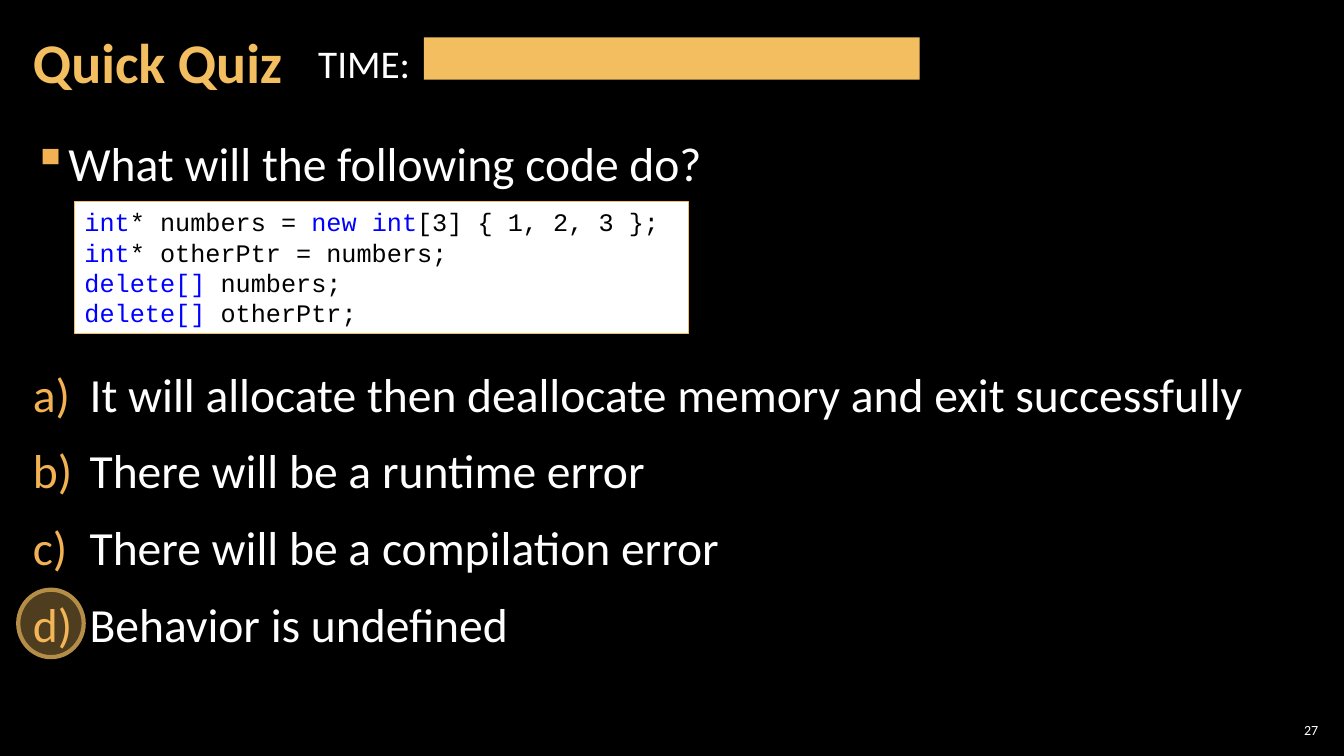
from lxml import etree
from pptx import Presentation
from pptx.dml.color import RGBColor
from pptx.enum.shapes import MSO_SHAPE
from pptx.enum.text import MSO_ANCHOR, PP_ALIGN
from pptx.oxml.ns import qn
from pptx.util import Cm, Pt

RECTANGLE, OVAL = MSO_SHAPE.RECTANGLE, MSO_SHAPE.OVAL
TOP, MIDDLE = MSO_ANCHOR.TOP, MSO_ANCHOR.MIDDLE
LEFT, RIGHT = PP_ALIGN.LEFT, PP_ALIGN.RIGHT
TITLE_ONLY = 5

BLACK, WHITE, BLUE = "000000", "FFFFFF", "0000FF"
GOLD, BULLET_GOLD, RING_GOLD = "F3BE60", "F2B254", "B48D47"

QUESTION = "What will the following code do?"
ANSWERS = [
    "It will allocate then deallocate memory and exit successfully",
    "There will be a runtime error",
    "There will be a compilation error",
    "Behavior is undefined",
]
CODE = [
    [("int", BLUE), ("* numbers = ", BLACK), ("new int", BLUE), ("[3] { 1, 2, 3 };", BLACK)],
    [("int", BLUE), ("* otherPtr = numbers;", BLACK)],
    [("delete[]", BLUE), (" numbers;", BLACK)],
    [("delete[] ", BLUE), ("otherPtr;", BLACK)],
]


def color(hex_value):
    return RGBColor.from_string(hex_value)


def write(paragraph, text, size=34, font="Calibri", fill=WHITE, bold=False):
    run = paragraph.add_run()
    run.text = text
    run.font.size = Pt(size)
    run.font.name = font
    run.font.bold = bold
    run.font.color.rgb = color(fill)


def set_bullet(paragraph, indent, tag, **attributes):
    """Add a gold bullet or number with a hanging indent."""
    properties = paragraph._p.get_or_add_pPr()
    properties.set("marL", str(Cm(indent)))
    properties.set("indent", str(-Cm(indent)))
    bullet_color = etree.SubElement(properties, qn("a:buClr"))
    etree.SubElement(bullet_color, qn("a:srgbClr"), val=BULLET_GOLD)
    etree.SubElement(properties, qn(tag), **attributes)


class QuizSlide:
    """Holds the quiz style and the slide being filled."""

    def __init__(self, presentation):
        self.slide = presentation.slides.add_slide(presentation.slide_layouts[TITLE_ONLY])
        self.slide.background.fill.solid()
        self.slide.background.fill.fore_color.rgb = color(BLACK)

    def frame(self, shape, anchor=TOP, margins=(0.3, 0.1), wrap=True):
        """Format the text frame of a shape and return it."""
        frame = shape.text_frame
        frame.word_wrap = wrap
        frame.vertical_anchor = anchor
        frame.margin_left = frame.margin_right = Cm(margins[0])
        frame.margin_top = frame.margin_bottom = Cm(margins[1])
        return frame

    def title(self, text, *box):
        shape = self.slide.shapes.title
        shape.left, shape.top, shape.width, shape.height = map(Cm, box)
        paragraph = self.frame(shape, MIDDLE).paragraphs[0]
        paragraph.alignment = LEFT
        paragraph.line_spacing = 0.9
        write(paragraph, text, size=40, fill=GOLD, bold=True)

    def text_box(self, *box, **frame_format):
        return self.frame(self.slide.shapes.add_textbox(*map(Cm, box)), **frame_format)

    def label(self, text, *box, size, align=LEFT, **frame_format):
        paragraph = self.text_box(*box, **frame_format).paragraphs[0]
        paragraph.alignment = align
        write(paragraph, text, size=size)

    def shape(self, kind, *box, fill, line=None, line_width=1, alpha=None):
        shape = self.slide.shapes.add_shape(kind, *map(Cm, box))
        shape.shadow.inherit = False
        shape.fill.solid()
        shape.fill.fore_color.rgb = color(fill)
        if alpha is not None:
            fill_color = shape._element.spPr.find(".//" + qn("a:srgbClr"))
            etree.SubElement(fill_color, qn("a:alpha"), val=str(alpha * 1000))
        if line:
            shape.line.color.rgb = color(line)
            shape.line.width = Pt(line_width)
        else:
            shape.line.fill.background()
        return shape

    def question(self, question, answers, *box, code_gap):
        """Write the question and lettered answers, with room for code between."""
        frame = self.text_box(*box)
        for index, text in enumerate([question, *answers]):
            paragraph = frame.paragraphs[0] if index == 0 else frame.add_paragraph()
            paragraph.line_spacing = 1.05
            paragraph.space_before = Pt(code_gap if index == 1 else 6)
            paragraph.space_after = Pt(6)
            if index == 0:
                set_bullet(paragraph, 0.84, "a:buChar", char="▪")
            else:
                set_bullet(paragraph, 1.43, "a:buAutoNum", type="alphaLcParenR")
            write(paragraph, text)

    def code(self, lines, *box):
        panel = self.shape(RECTANGLE, *box, fill=WHITE, line=GOLD)
        frame = self.frame(panel, margins=(0.25, 0.13))
        for index, line in enumerate(lines):
            paragraph = frame.paragraphs[0] if index == 0 else frame.add_paragraph()
            paragraph.alignment = LEFT
            for text, fill in line:
                write(paragraph, text, size=18, font="Courier New", fill=fill)


def main():
    presentation = Presentation()
    presentation.slide_width, presentation.slide_height = Cm(33.87), Cm(19.05)
    quiz = QuizSlide(presentation)
    quiz.label("27", 32.13, 18.14, 1.19, 0.53, size=10, align=RIGHT,
               anchor=MIDDLE, margins=(0.1, 0.1))
    quiz.question(QUESTION, ANSWERS, 0.53, 3.2, 32.8, 15.47, code_gap=116)
    quiz.title("Quick Quiz", 0.53, 0.1, 26.6, 3.07)
    quiz.shape(RECTANGLE, 10.68, 0.94, 12.5, 1.07, fill=GOLD)
    quiz.label("TIME:", 7.77, 0.86, 2.84, 1.45, size=28, margins=(0.25, 0.13), wrap=False)
    quiz.shape(OVAL, 0.46, 14.86, 1.65, 1.7, fill=GOLD, alpha=32, line=RING_GOLD, line_width=3)
    quiz.code(CODE, 1.88, 5.08, 15.47, 3.33)
    presentation.save("out.pptx")


if __name__ == "__main__":
    main()
